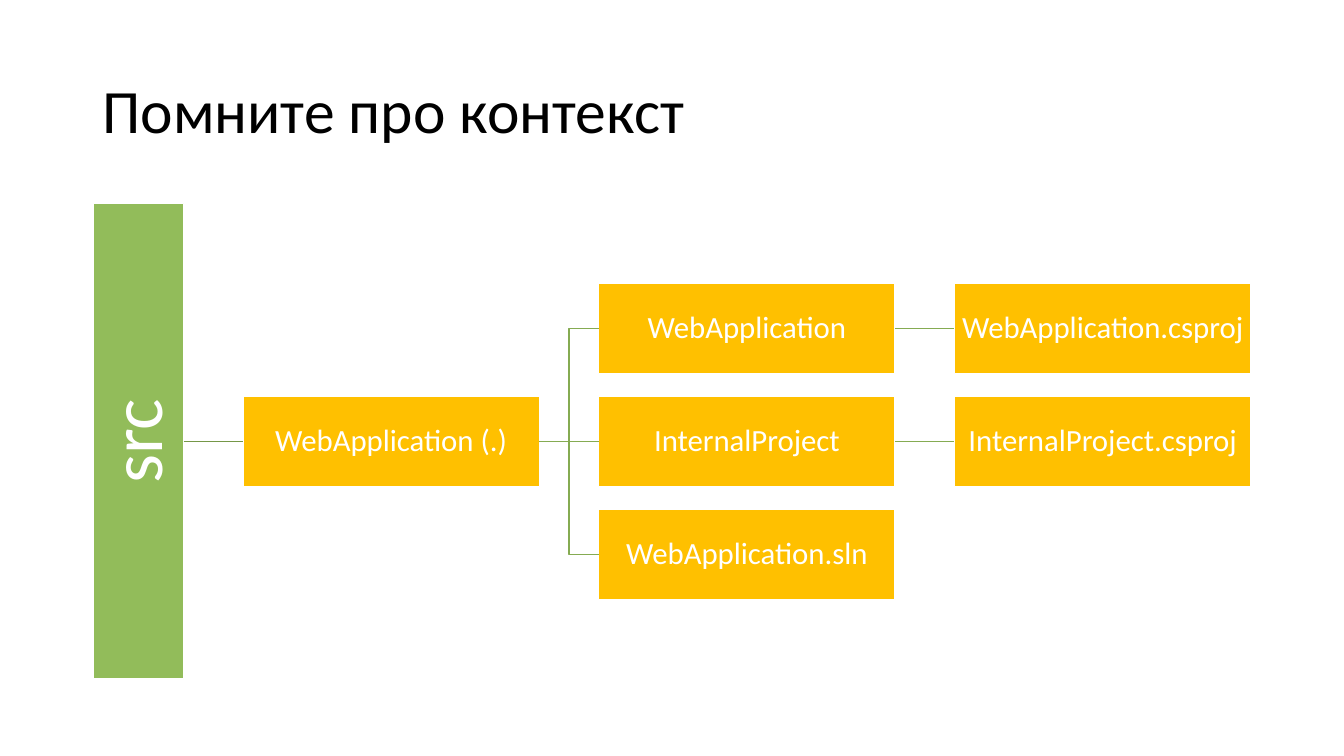
from lxml import etree
from pptx import Presentation
from pptx.dml.color import RGBColor
from pptx.enum import shapes, text
from pptx.oxml.ns import qn
from pptx.util import Pt

COLORS = {
    "title": "000000",
    "label": "FFFFFF",
    "root": "92BC5A",
    "node": "FFC000",
    "root_link": "759748",
    "link": "85AB52",
}
FONT = "Calibri"
NODE_W, NODE_H = 211.8, 64.6
FIRST_LEFT, COLUMN_STEP = 173.5, 254.15
MIDDLE_Y, ROW_STEP = 315.2, 80.7
ROOT_LENGTH, ROOT_CENTER_X = 339.8, 98.85
TOP_SIDE, LEFT_SIDE, BOTTOM_SIDE, RIGHT_SIDE = range(4)

# label: (column, row relative to the middle, parent)
TREE = {
    "WebApplication (.)": (0, 0, "src"),
    "WebApplication": (1, -1, "WebApplication (.)"),
    "InternalProject": (1, 0, "WebApplication (.)"),
    "WebApplication.sln": (1, 1, "WebApplication (.)"),
    "WebApplication.csproj": (2, -1, "WebApplication"),
    "InternalProject.csproj": (2, 0, "InternalProject"),
}


def rgb(name):
    return RGBColor.from_string(COLORS[name])


def style_text(frame, size, color, align):
    frame.vertical_anchor = text.MSO_ANCHOR.MIDDLE
    paragraph = frame.paragraphs[0]
    paragraph.alignment = align
    paragraph.line_spacing = 0.9
    font = paragraph.runs[0].font
    font.name, font.size = FONT, Pt(size)
    font.color.rgb = rgb(color)


def set_title(slide, wording):
    title = slide.shapes.title
    title.left, title.top = Pt(66), Pt(28.75)
    title.width, title.height = Pt(828), Pt(104.4)
    title.text_frame.text = wording
    title.text_frame.auto_size = text.MSO_AUTO_SIZE.NONE
    style_text(title.text_frame, 44, "title", text.PP_ALIGN.LEFT)


def add_box(slide, label, center_x, center_y, width, fill, size, inset):
    box = slide.shapes.add_shape(
        shapes.MSO_SHAPE.RECTANGLE,
        Pt(center_x - width / 2), Pt(center_y - NODE_H / 2), Pt(width), Pt(NODE_H),
    )
    box.shadow.inherit = False
    box.fill.solid()
    box.fill.fore_color.rgb = rgb(fill)
    box.line.color.rgb = rgb("label")
    box.line.width = Pt(1)
    frame = box.text_frame
    frame.text = label
    frame.word_wrap = True
    frame.margin_left = frame.margin_right = Pt(inset)
    frame.margin_top = frame.margin_bottom = Pt(inset)
    style_text(frame, size, "label", text.PP_ALIGN.CENTER)
    return box


def add_link(slide, parent, child, bent, color, parent_side=RIGHT_SIDE):
    kind = shapes.MSO_CONNECTOR.ELBOW if bent else shapes.MSO_CONNECTOR.STRAIGHT
    link = slide.shapes.add_connector(kind, 0, 0, 0, 0)
    link.begin_connect(parent, parent_side)
    link.end_connect(child, LEFT_SIDE)
    link.line.color.rgb = rgb(color)
    link.line.width = Pt(1)
    etree.SubElement(link._element.spPr, qn("a:effectLst"))
    return link


def main():
    deck = Presentation()
    deck.slide_width, deck.slide_height = Pt(960), Pt(540)
    slide = deck.slides.add_slide(deck.slide_layouts[5])
    set_title(slide, "Помните про контекст")

    root = add_box(slide, "src", ROOT_CENTER_X, MIDDLE_Y, ROOT_LENGTH, "root", 53, 2.9)
    root.rotation = 270

    nodes = {}
    for label, (column, row, parent) in TREE.items():
        center_x = FIRST_LEFT + column * COLUMN_STEP + NODE_W / 2
        center_y = MIDDLE_Y + row * ROW_STEP
        node = add_box(slide, label, center_x, center_y, NODE_W, "node", 22, 1.4)
        nodes[label] = node
        if parent in nodes:
            add_link(slide, nodes[parent], node, row != TREE[parent][1], "link")
        else:
            # The root is turned, so its bottom side faces right.
            link = add_link(slide, root, node, False, "root_link", BOTTOM_SIDE)
            link.begin_x, link.begin_y = Pt(ROOT_CENTER_X + NODE_H / 2), Pt(MIDDLE_Y)

    deck.save("out.pptx")


if __name__ == "__main__":
    main()
